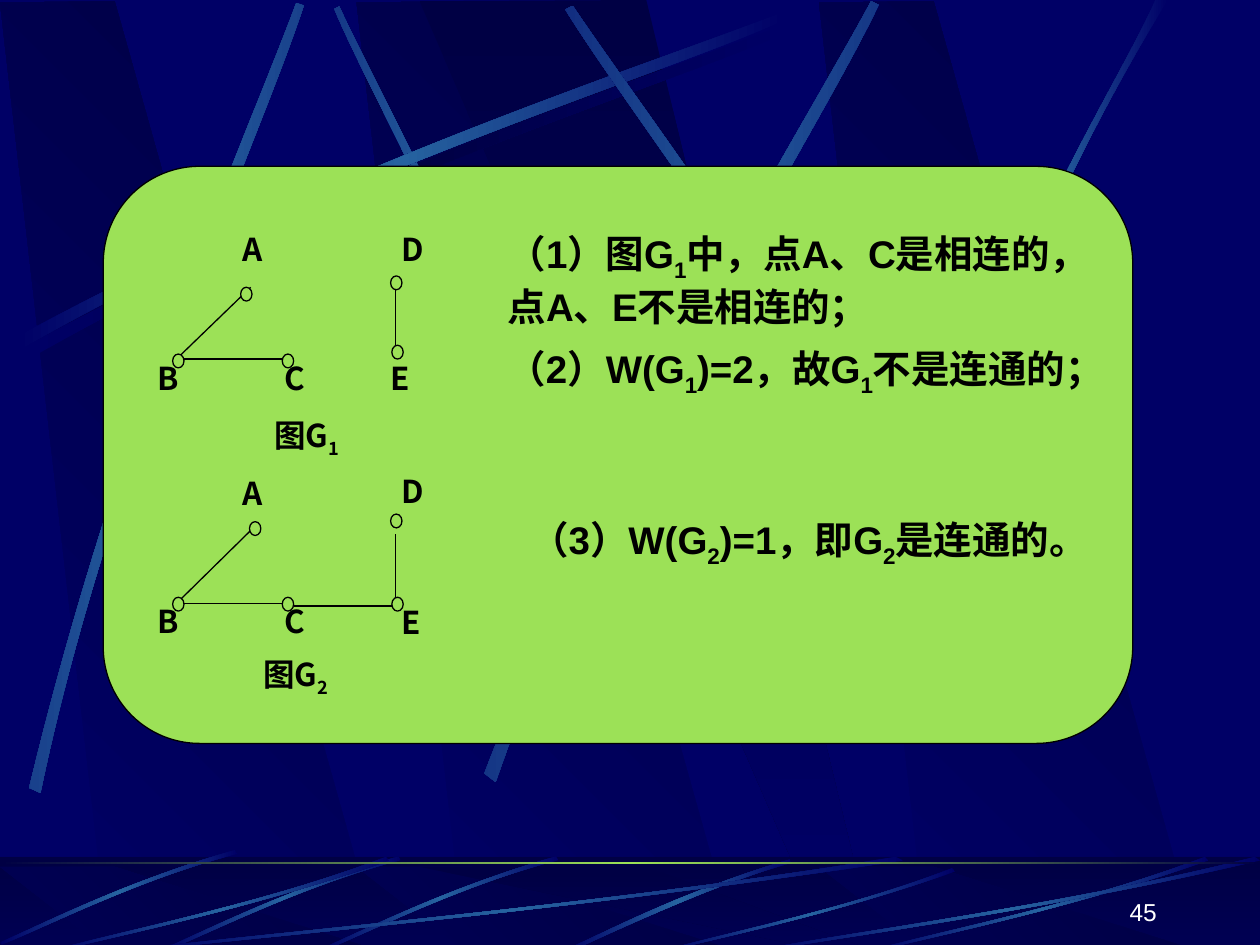
"""Build a slide that compares the connectivity of two small graphs."""
import math

import lxml.etree
import pptx
import pptx.dml.color
import pptx.enum.shapes
import pptx.enum.text
import pptx.oxml
import pptx.oxml.ns
import pptx.util

Inches = pptx.util.Inches
qn = pptx.oxml.ns.qn
SHAPES = pptx.enum.shapes.MSO_SHAPE
COLOURS = {"navy": "000066", "midnight": "000044", "beam": "2663A0",
           "lime": "9CE157", "black": "000000", "white": "FFFFFF"}
LABEL = {"name": "Noto Sans CJK SC", "size": pptx.util.Pt(18), "bold": True}
STATEMENT = {"name": "Arial", "size": pptx.util.Pt(22), "bold": True}
PAGE_NUMBER = {"name": "Arial", "size": pptx.util.Pt(14), "bold": False}
SHADE, DUSK = ("navy", "midnight"), ("midnight", "navy")
GLOW, SHADOW = ("navy", "beam", "navy"), ("navy", "midnight", "navy")

PANEL_OFFSETS = (2.83, 0, 6.5)
UPPER_PANEL = [(0.86, 7.51), (3.02, 7.53), (0.91, 0.01), (0, 0.02)]
UPPER_WEDGE = [(3.33, 0.01), (6.58, 7.51), (6.94, 7.51), (5.13, 0)]
LOWER_PANEL = [(0.86, 7.55), (3.02, 7.55), (0.91, 6.88), (0, 6.88)]
LOWER_WEDGE = [(3.33, 6.88), (6.58, 7.55), (6.94, 7.55), (5.13, 6.88)]

# Each ray: colours, rotation, pivot, and the eight points of its two curves.
UPPER_RAYS = [
    (SHADOW, 0, (3.24, 1.52), [(0.2, 2.75), (2.84, 1.34), (5.24, 0.59), (6.26, 0.18),
                               (6.29, 0.24), (5.28, 0.69), (2.54, 1.51), (0.23, 2.85)]),
    (GLOW, 45, (3.62, 2.22), [(4.6, 4.36), (3.91, 2.34), (3.02, 0.77), (2.69, 0.05),
                              (2.65, 0.07), (2.95, 0.79), (3.98, 2.58), (4.54, 4.39)]),
    (GLOW, 0, (3.18, 1.44), [(0.14, 2.67), (2.78, 1.25), (5.18, 0.51), (6.2, 0.1),
                             (6.23, 0.16), (5.22, 0.61), (2.48, 1.43), (0.17, 2.77)]),
    (GLOW, 311.7, (1.33, 3.16), [(0.23, 6.25), (0.93, 3.34), (1.97, 1.05), (2.35, 0.02),
                                 (2.41, 0.04), (2.07, 1.09), (0.86, 3.68), (0.32, 6.29)]),
    (GLOW, 321.6, (5.43, 3.1), [(3.85, 6.14), (4.98, 3.2), (6.38, 1.02), (6.92, 0.01),
                                (6.98, 0.04), (6.49, 1.08), (4.86, 3.55), (3.94, 6.21)]),
    (GLOW, 34.7, (6.27, 2.86), [(8.06, 5.6), (6.7, 2.93), (5.16, 0.95), (4.55, 0.04),
                                (4.49, 0.07), (5.07, 1.01), (6.85, 3.25), (7.99, 5.67)]),
    (GLOW, 0, (8.32, 1.98), [(7.38, 3.94), (8.14, 1.73), (8.88, 0.66), (9.17, 0),
                             (9.27, 0), (8.36, 1.45), (7.69, 3.22), (7.44, 3.97)]),
]
TILTED_RAY = [(4.42, 6.8), (3.55, 7.05), (2.87, 7.4), (2.56, 7.53),
              (2.57, 7.55), (2.88, 7.43), (3.65, 7.03), (4.44, 6.83)]
LONG_RAY = [(1, 0.04), (0.57, 0.57), (0.17, 0.85), (0.01, 1),
            (0, 0.99), (0.17, 0.81), (0.62, 0.51), (0.99, 0)]
TILTED_OFFSETS = [(0, 0), (-1.25, 0), (-2.55, -0.05)]
LONG_RAYS = [(1, 6.8, 6.17, 0.75), (0.42, 6.8, 2.67, 0.75), (5.27, 6.89, 2.31, 0.66),
             (6.92, 6.8, 2.67, 0.75), (6, 6.8, 4, 0.75)]
SHORT_RAY = [(6.27, 6.82), (5.37, 7.09), (4.77, 7.42), (4.48, 7.54),
             (4.53, 7.55), (4.9, 7.38), (5.71, 7), (6.28, 6.85)]

GRAPHS = [
    {"edges": [(1.4, 2.85, 1.99, 2.28), (1.4, 2.85, 2.33, 2.85), (3.14, 2.23, 3.14, 2.81)],
     "nodes": [(1.91, 2.28), (1.37, 2.81), (2.24, 2.81), (3.1, 2.19), (3.11, 2.74)],
     "labels": [(1.83, 1.78), (1.15, 2.8), (2.16, 2.8), (3.09, 1.78), (3, 2.8)],
     "caption": (2.08, 3.25, 2.02, 0.58)},
    {"edges": [(1.4, 4.79, 1.99, 4.21), (1.4, 4.79, 2.33, 4.79),
               (2.33, 4.81, 3.14, 4.81), (3.14, 4.24, 3.14, 4.81)],
     "nodes": [(1.98, 4.14), (1.37, 4.74), (2.24, 4.74), (3.1, 4.08), (3.11, 4.74)],
     "labels": [(1.83, 3.71), (1.15, 4.73), (2.16, 4.73), (3.09, 3.7), (3.09, 4.74)],
     "caption": (1.99, 5.15, 1.43, 0.58)},
]
# Every second part of a statement is a subscript.
STATEMENTS = [
    ((3.93, 1.78, 4.55, 0.93), ["（1）图G", "1", "中，点A、C是相连的，点A、E不是相连的；"]),
    ((3.93, 2.69, 4.63, 0.93), ["（2）W(G", "1", ")=2，故G", "1", "不是连通的；"]),
    ((4.11, 4.05, 4.46, 0.52), ["（3）W(G", "2", ")=1，即G", "2", "是连通的。"]),
]


def rgb(name):
    return pptx.dml.color.RGBColor.from_string(COLOURS[name])


def turn(point, pivot, degrees):
    angle = math.radians(degrees)
    x, y = point[0] - pivot[0], point[1] - pivot[1]
    return (pivot[0] + x * math.cos(angle) - y * math.sin(angle),
            pivot[1] + x * math.sin(angle) + y * math.cos(angle))


class GraphSlide:
    """Hold the style and the current slide, and draw each kind of element."""

    def __init__(self, slide):
        self.slide = slide
        background = slide.background.fill
        background.solid()
        background.fore_color.rgb = rgb("navy")

    def paint(self, shape, fill, angle=0, outlined=False, alpha=None):
        shape.shadow.inherit = False
        shape.fill.solid()
        shape.fill.fore_color.rgb = rgb(fill if isinstance(fill, str) else fill[0])
        solid = shape._element.spPr.find(qn("a:solidFill"))
        if alpha is not None:
            lxml.etree.SubElement(solid[0], qn("a:alpha"), val=str(alpha * 1000))
        if not isinstance(fill, str):
            stops = "".join(
                f'<a:gs pos="{index * 100000 // (len(fill) - 1)}">'
                f'<a:srgbClr val="{COLOURS[name]}"/></a:gs>' for index, name in enumerate(fill))
            gradient = pptx.oxml.parse_xml(
                f'<a:gradFill {pptx.oxml.ns.nsdecls("a")} rotWithShape="0"><a:gsLst>{stops}'
                f'</a:gsLst><a:lin ang="{angle * 60000}" scaled="0"/></a:gradFill>')
            solid.getparent().replace(solid, gradient)
        if outlined:
            self.outline(shape.line)
        else:
            shape.line.fill.background()
        return shape

    def outline(self, line):
        line.color.rgb = rgb("black")
        line.width = pptx.util.Pt(0.75)

    def shape(self, kind, box, fill, **style):
        return self.paint(self.slide.shapes.add_shape(kind, *map(Inches, box)), fill, **style)

    def polygon(self, points, fill, angle=0):
        corners = [(Inches(x), Inches(y)) for x, y in points]
        builder = self.slide.shapes.build_freeform(*corners[0])
        builder.add_line_segments(corners[1:], close=True)
        return self.paint(builder.convert_to_shape(), fill, angle)

    def ray(self, points, fill=GLOW, rotation=0, pivot=(0, 0)):
        shape = self.polygon([turn(point, pivot, -rotation) for point in points], fill)
        shape.rotation = rotation
        segments = list(shape._element.iter(qn("a:lnTo")))
        for first, *others in (segments[:3], segments[4:7]):
            curve = lxml.etree.Element(qn("a:cubicBezTo"))
            first.addprevious(curve)
            for segment in (first, *others):
                curve.append(segment[0])
                segment.getparent().remove(segment)

    def edge(self, ends):
        connector = self.slide.shapes.add_connector(
            pptx.enum.shapes.MSO_CONNECTOR.STRAIGHT, *map(Inches, ends))
        self.outline(connector.line)
        lxml.etree.SubElement(connector._element.spPr, qn("a:effectLst"))

    def text(self, box, parts, style, colour="black", **layout):
        frame = self.slide.shapes.add_textbox(*map(Inches, box)).text_frame
        frame.word_wrap = True
        frame.vertical_anchor = layout.get("anchor", pptx.enum.text.MSO_ANCHOR.TOP)
        paragraph = frame.paragraphs[0]
        paragraph.alignment = layout.get("align", pptx.enum.text.PP_ALIGN.LEFT)
        for index, part in enumerate(parts):
            run = paragraph.add_run()
            run.text = part
            for name, value in style.items():
                setattr(run.font, name, value)
            run.font.color.rgb = rgb(colour)
            properties = run._r.get_or_add_rPr()
            lxml.etree.SubElement(properties, qn("a:ea"), typeface=LABEL["name"])
            if index % 2:
                properties.set("baseline", "-25000")

    def panels(self, panel, wedge):
        for offset in PANEL_OFFSETS:
            self.polygon([(x + offset, y) for x, y in panel], SHADE, 315)
        self.polygon(wedge, DUSK, 90)

    def backdrop(self):
        footer = (0, 6.8, 10, 0.75)
        self.panels(UPPER_PANEL, UPPER_WEDGE)
        for fill, rotation, pivot, points in UPPER_RAYS:
            self.ray(points, fill, rotation, pivot)
        self.shape(SHAPES.RECTANGLE, footer, DUSK, angle=90)
        self.panels(LOWER_PANEL, LOWER_WEDGE)
        self.shape(SHAPES.RECTANGLE, footer, "midnight", alpha=50)
        self.ray(SHORT_RAY)
        for dx, dy in TILTED_OFFSETS:
            self.ray([(x + dx, y + dy) for x, y in TILTED_RAY], GLOW, 315, (3.5 + dx, 7.17 + dy))
        for left, top, width, height in LONG_RAYS:
            self.ray([(left + x * width, top + y * height) for x, y in LONG_RAY])
        self.shape(SHAPES.RECTANGLE, (0, 6.84, 10, 0.02), ("midnight", "lime", "midnight"))

    def graph(self, number, edges, nodes, labels, caption):
        for ends in edges:
            self.edge(ends)
        for corner in nodes:
            self.shape(SHAPES.OVAL, (*corner, 0.09, 0.11), "lime", outlined=True)
        for letter, corner in zip("ABCDE", labels):
            self.text((*corner, 0.67, 0.58), [letter], LABEL)
        self.text(caption, ["图G", str(number)], LABEL)


def main():
    presentation = pptx.Presentation()
    presentation.slide_width, presentation.slide_height = Inches(10), Inches(7.5)
    page = GraphSlide(presentation.slides.add_slide(presentation.slide_layouts[6]))
    page.backdrop()
    card = page.shape(SHAPES.ROUNDED_RECTANGLE, (0.82, 1.32, 8.17, 4.58), "lime", outlined=True)
    card.adjustments[0] = 0.167
    for number, graph in enumerate(GRAPHS, 1):
        page.graph(number, **graph)
    for box, parts in STATEMENTS:
        page.text(box, parts, STATEMENT)
    page.text((7.2, 6.9, 2.08, 0.5), ["45"], PAGE_NUMBER, "white",
              anchor=pptx.enum.text.MSO_ANCHOR.BOTTOM, align=pptx.enum.text.PP_ALIGN.RIGHT)
    presentation.save("out.pptx")


if __name__ == "__main__":
    main()
